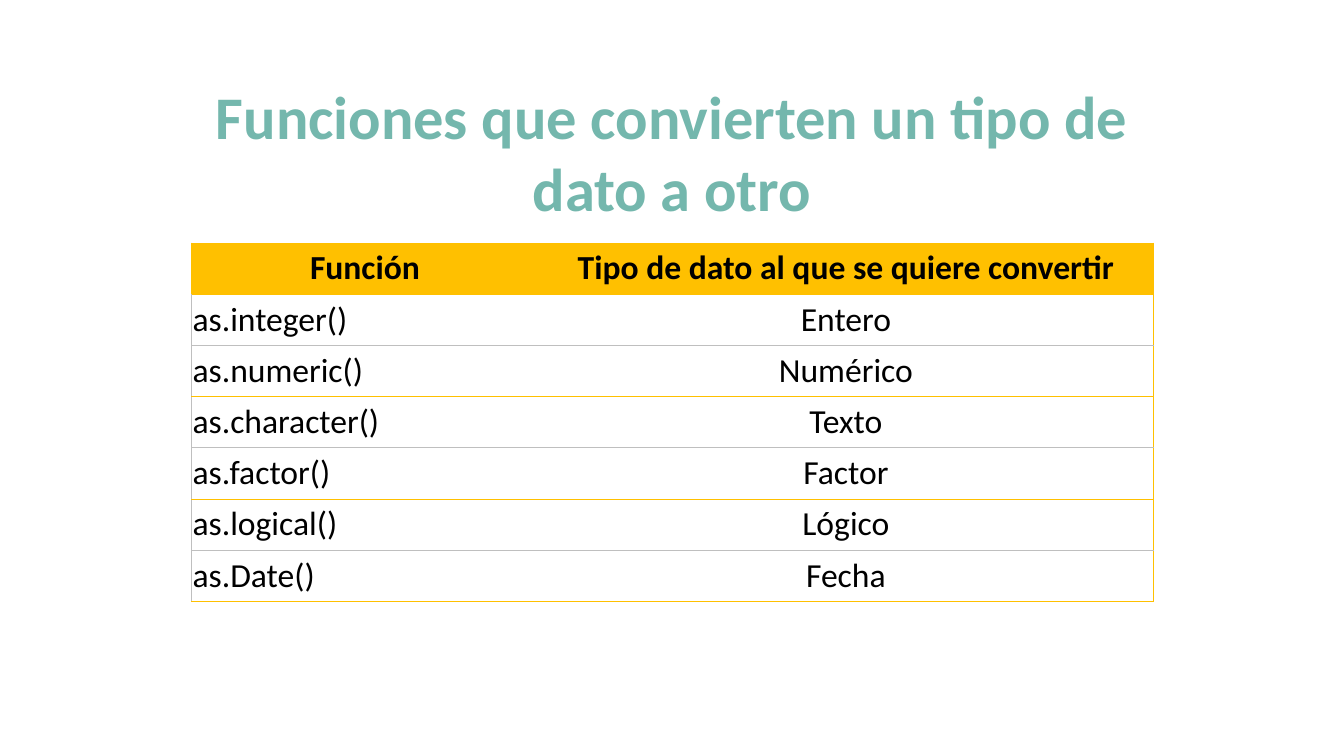
from dataclasses import dataclass

import pptx
import pptx.dml.color
import pptx.enum.text
import pptx.oxml.ns
import pptx.util
from lxml import etree
from pptx.util import Inches

ALIGN = pptx.enum.text.PP_ALIGN
ANCHOR = pptx.enum.text.MSO_ANCHOR
NO_GRID_STYLE = "{2D5ABB26-0587-4C30-8999-92F81FD0307C}"


@dataclass(frozen=True)
class Theme:
    font: str = "Calibri"
    title_color: str = "74B7AD"
    text_color: str = "000000"
    accent: str = "FFC000"
    grid: str = "BFBFBF"
    title_size: float = 43.2
    table_size: float = 24
    border_width: float = 0.5


THEME = Theme()

TITLE = "Funciones que convierten un tipo de dato a otro"
ROWS = [
    ("Función", "Tipo de dato al que se quiere convertir"),
    ("as.integer()", "Entero"),
    ("as.numeric()", "Numérico"),
    ("as.character()", "Texto"),
    ("as.factor()", "Factor"),
    ("as.logical()", "Lógico"),
    ("as.Date()", "Fecha"),
]
COLUMN_WIDTHS = (3.44, 6.1)
ROW_HEIGHT = 0.508


def rgb(color):
    return pptx.dml.color.RGBColor.from_string(color)


def format_paragraph(paragraph, size, color, bold, alignment):
    paragraph.alignment = alignment
    font = paragraph.font
    font.name = THEME.font
    font.size = pptx.util.Pt(size)
    font.bold = bold
    font.color.rgb = rgb(color)


def add_title(slide, text):
    title = slide.shapes.title
    title.left, title.top = Inches(1.77), Inches(0.93)
    title.width, title.height = Inches(9.79), Inches(1.14)
    frame = title.text_frame
    frame.text = text
    frame.word_wrap = True
    frame.auto_size = pptx.enum.text.MSO_AUTO_SIZE.NONE
    frame.vertical_anchor = ANCHOR.MIDDLE
    format_paragraph(frame.paragraphs[0], THEME.title_size,
                     THEME.title_color, True, ALIGN.CENTER)


def set_borders(cell, left, right, top, bottom):
    """Draw the four cell edges; a color of None leaves an edge empty."""
    properties = cell._tc.get_or_add_tcPr()
    qn = pptx.oxml.ns.qn
    for side, color in zip("LRTB", (left, right, top, bottom)):
        line = etree.SubElement(properties, qn(f"a:ln{side}"),
                                w=str(pptx.util.Pt(THEME.border_width)))
        if color is None:
            etree.SubElement(line, qn("a:noFill"))
        else:
            fill = etree.SubElement(line, qn("a:solidFill"))
            etree.SubElement(fill, qn("a:srgbClr"), val=color)


def rule_below(row):
    """Horizontal rules alternate between accent and grid color."""
    return THEME.accent if row % 2 == 0 else THEME.grid


def fill_cell(cell, text, row, column):
    is_header = row == 0
    is_first = column == 0
    outer_left = THEME.accent if is_header else THEME.grid
    set_borders(
        cell,
        left=outer_left if is_first else None,
        right=None if is_first else THEME.accent,
        top=THEME.accent if is_header else rule_below(row - 1),
        bottom=rule_below(row),
    )
    if is_header:
        cell.fill.solid()
        cell.fill.fore_color.rgb = rgb(THEME.accent)
    else:
        cell.fill.background()
    cell.margin_left = cell.margin_right = Inches(0.01)
    cell.margin_top = cell.margin_bottom = Inches(0.05)
    cell.vertical_anchor = ANCHOR.BOTTOM
    cell.text = text
    alignment = ALIGN.LEFT if is_first and not is_header else ALIGN.CENTER
    format_paragraph(cell.text_frame.paragraphs[0], THEME.table_size,
                     THEME.text_color, is_header, alignment)


def add_conversion_table(slide, rows):
    frame = slide.shapes.add_table(
        len(rows), len(COLUMN_WIDTHS), Inches(1.9), Inches(2.41),
        Inches(sum(COLUMN_WIDTHS)), Inches(ROW_HEIGHT * len(rows)))
    table = frame.table
    table.horz_banding = False
    table._tbl.tblPr.find(pptx.oxml.ns.qn("a:tableStyleId")).text = NO_GRID_STYLE
    for column, width in zip(table.columns, COLUMN_WIDTHS):
        column.width = Inches(width)
    for row, texts in enumerate(rows):
        for column, text in enumerate(texts):
            fill_cell(table.cell(row, column), text, row, column)


def main():
    presentation = pptx.Presentation()
    presentation.slide_width = Inches(13.33)
    presentation.slide_height = Inches(7.5)
    title_only = presentation.slide_layouts.get_by_name("Title Only")
    slide = presentation.slides.add_slide(title_only)
    add_title(slide, TITLE)
    add_conversion_table(slide, ROWS)
    presentation.save("out.pptx")


if __name__ == "__main__":
    main()
